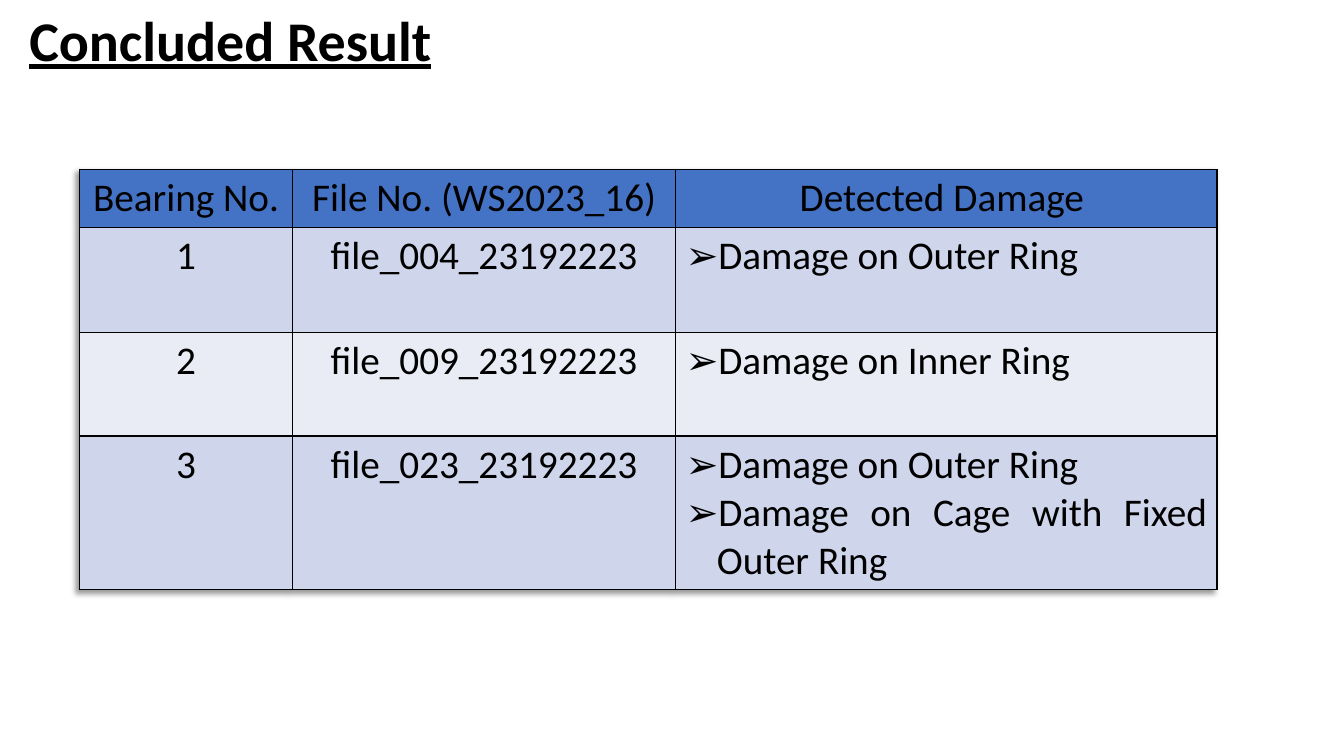
from dataclasses import dataclass

import pptx
import pptx.dml.color
import pptx.enum.text
import pptx.oxml
import pptx.oxml.ns
import pptx.util
from pptx.util import Inches

ALIGN = pptx.enum.text.PP_ALIGN
ANCHOR = pptx.enum.text.MSO_ANCHOR
NS = pptx.oxml.ns.nsdecls("a")


@dataclass(frozen=True)
class Theme:
    font: str = "Calibri"
    title_size: int = 40
    table_size: int = 28
    ink: str = "000000"
    header: str = "4472C4"
    bands: tuple = ("CFD5EA", "E9EBF5")


THEME = Theme()
HEADER = ["Bearing No. ", "File No. (WS2023_16)", "Detected Damage "]
RESULTS = [
    ("1", "file_004_23192223", ["Damage on Outer Ring"]),
    ("2", "file_009_23192223", ["Damage on Inner Ring"]),
    ("3", "file_023_23192223",
     ["Damage on Outer Ring", "Damage on Cage with Fixed Outer Ring"]),
]
COL_WIDTHS = [2.11, 3.8, 5.37]
ROW_HEIGHTS = [0.57, 1.04, 1.03, 1.49]


def write(tf, lines, size=THEME.table_size, align=ALIGN.CENTER, bold=False,
          underline=False, bullet=None):
    """Fill a text frame with one paragraph for each line."""
    for i, line in enumerate(lines):
        p = tf.add_paragraph() if i else tf.paragraphs[0]
        p.alignment = align
        if bullet:
            add_bullet(p, bullet)
        r = p.add_run()
        r.text = line
        r.font.name = THEME.font
        r.font.size = pptx.util.Pt(size)
        r.font.bold = bold
        r.font.underline = underline
        r.font.color.rgb = pptx.dml.color.RGBColor.from_string(THEME.ink)


def add_bullet(p, char):
    pPr = p._p.get_or_add_pPr()
    pPr.set("marL", str(Inches(0.31)))
    pPr.set("indent", str(-Inches(0.31)))
    pPr.append(pptx.oxml.parse_xml(f'<a:buFont {NS} typeface="Wingdings"/>'
                                   .replace("Wingdings", THEME.font)))
    pPr.append(pptx.oxml.parse_xml(f'<a:buChar {NS} char="{char}"/>'))


def style_cell(cell, color):
    cell.fill.solid()
    cell.fill.fore_color.rgb = pptx.dml.color.RGBColor.from_string(color)
    tcPr = cell._tc.get_or_add_tcPr()
    for i, side in enumerate(("lnL", "lnR", "lnT", "lnB")):
        tcPr.insert(i, pptx.oxml.parse_xml(
            f'<a:{side} {NS} w="12700"><a:solidFill><a:srgbClr val="{THEME.ink}"/>'
            f'</a:solidFill></a:{side}>'))


def add_table_shadow(table):
    table._tbl.tblPr.insert(0, pptx.oxml.parse_xml(
        f'<a:effectLst {NS}><a:outerShdw blurRad="50800" dist="38100" dir="8100000">'
        f'<a:srgbClr val="{THEME.ink}"><a:alpha val="40000"/></a:srgbClr>'
        '</a:outerShdw></a:effectLst>'))


def add_title(s, text):
    title = s.shapes.title
    title.left, title.top = Inches(0.19), Inches(0)
    title.width, title.height = Inches(5.23), Inches(0.77)
    title.text_frame.vertical_anchor = ANCHOR.TOP
    write(title.text_frame, [text], size=THEME.title_size, align=ALIGN.LEFT,
          bold=True, underline=True)


def add_results_table(s):
    table = s.shapes.add_table(
        len(ROW_HEIGHTS), len(COL_WIDTHS), Inches(0.79), Inches(1.68),
        Inches(sum(COL_WIDTHS)), Inches(sum(ROW_HEIGHTS))).table
    for col, width in zip(table.columns, COL_WIDTHS):
        col.width = Inches(width)
    for row, height in zip(table.rows, ROW_HEIGHTS):
        row.height = Inches(height)
    add_table_shadow(table)

    for c, heading in enumerate(HEADER):
        cell = table.cell(0, c)
        write(cell.text_frame, [heading])
        style_cell(cell, THEME.header)
    for r, (number, file_name, damage) in enumerate(RESULTS, start=1):
        cells = table.rows[r].cells
        write(cells[0].text_frame, [number])
        write(cells[1].text_frame, [file_name])
        write(cells[2].text_frame, damage, align=ALIGN.JUSTIFY, bullet="➢")
        for cell in cells:
            style_cell(cell, THEME.bands[(r - 1) % 2])


def main():
    prs = pptx.Presentation()
    prs.slide_width, prs.slide_height = Inches(13.33), Inches(7.5)
    s = prs.slides.add_slide(prs.slide_layouts[5])
    add_title(s, "Concluded Result")
    add_results_table(s)
    prs.save("out.pptx")


if __name__ == "__main__":
    main()
